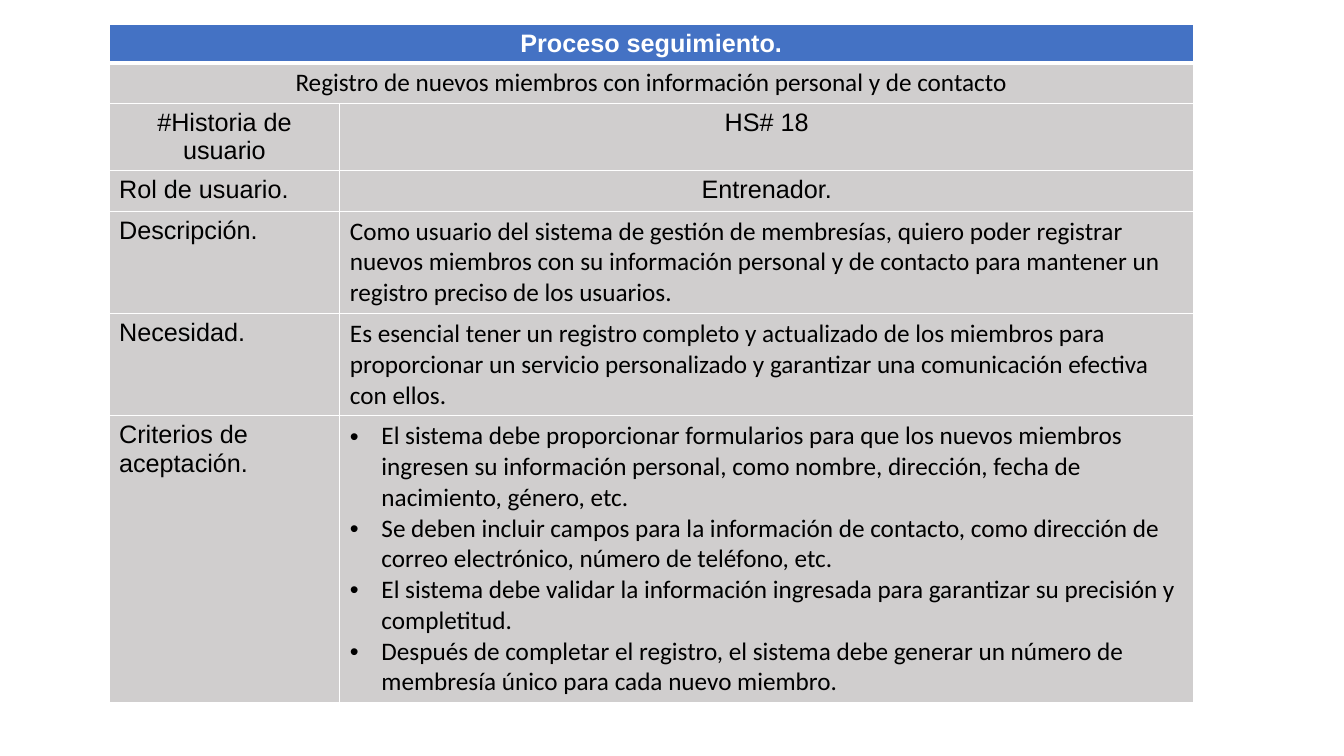
import pptx
import pptx.util
import pptx.dml.color
import pptx.enum.text
import pptx.oxml
import pptx.oxml.ns

Pt = pptx.util.Pt
RGB = pptx.dml.color.RGBColor
ALIGN = pptx.enum.text.PP_ALIGN
WHITE = RGB(0xFF, 0xFF, 0xFF)
BLACK = RGB(0, 0, 0)
BLUE = RGB(0x44, 0x72, 0xC4)
GRAY = RGB(0xD0, 0xCE, 0xCE)
NS = pptx.oxml.ns.nsdecls("a")


def write(cell, *lines, font="Arial", color=BLACK, bold=False,
          align=ALIGN.LEFT, bullet=False):
    frame = cell.text_frame
    for i, line in enumerate(lines):
        para = frame.add_paragraph() if i else frame.paragraphs[0]
        para.alignment = align
        if bullet:
            props = para._p.get_or_add_pPr()
            props.set("marL", str(Pt(22.5)))
            props.set("indent", str(-Pt(22.5)))
            for tag in ('buClr {}><a:srgbClr val="000000"/></a:buClr>',
                        'buFont {} typeface="Arial"/>',
                        'buChar {} char="•"/>'):
                props.append(pptx.oxml.parse_xml("<a:" + tag.format(NS)))
        run = para.add_run()
        run.text = line
        run.font.name = font
        run.font.size = Pt(18)
        run.font.bold = bold
        run.font.color.rgb = color


def border(cell, **sides):
    """Draw white cell borders; each side (L, R, T, B) gives its width in points."""
    props = cell._tc.get_or_add_tcPr()
    for i, (side, width) in enumerate(sides.items()):
        props.insert(i, pptx.oxml.parse_xml(
            f'<a:ln{side} {NS} w="{Pt(width)}"><a:solidFill>'
            f'<a:srgbClr val="{WHITE}"/></a:solidFill></a:ln{side}>'))


deck = pptx.Presentation()
deck.slide_width = Pt(960)
deck.slide_height = Pt(540)
slide = deck.slides.add_slide(deck.slide_layouts[6])

table = slide.shapes.add_table(7, 2, Pt(77.9), Pt(17.5), Pt(774.7), Pt(199)).table
table.horz_banding = False
for col, width in zip(table.columns, (164.9, 609.8)):
    col.width = Pt(width)
for i, row in enumerate(table.rows):
    row.height = Pt(29.2 if i else 23)
    for cell in row.cells:
        cell.fill.solid()
        cell.fill.fore_color.rgb = GRAY if i else BLUE
        border(cell, L=1, R=1, T=3 if i == 1 else 1, B=1 if i else 3)

for i in range(2):
    table.cell(i, 0).merge(table.cell(i, 1))
write(table.cell(0, 0), "Proceso seguimiento.", color=WHITE, bold=True,
      align=ALIGN.CENTER)
write(table.cell(1, 0),
      "Registro de nuevos miembros con información personal y de contacto",
      font="Calibri", align=ALIGN.CENTER)

write(table.cell(2, 0), "#Historia de usuario", align=ALIGN.CENTER)
labels = ("Rol de usuario.", "Descripción.", "Necesidad.",
          "Criterios de aceptación.")
for i, label in enumerate(labels, 3):
    write(table.cell(i, 0), label)

for i, value in enumerate(("HS# 18", "Entrenador."), 2):
    write(table.cell(i, 1), value, align=ALIGN.CENTER)
details = (
    "Como usuario del sistema de gestión de membresías, quiero poder registrar "
    "nuevos miembros con su información personal y de contacto para mantener un "
    "registro preciso de los usuarios.",
    "Es esencial tener un registro completo y actualizado de los miembros para "
    "proporcionar un servicio personalizado y garantizar una comunicación "
    "efectiva con ellos.",
)
for i, detail in enumerate(details, 4):
    write(table.cell(i, 1), detail, font="Calibri")
write(table.cell(6, 1),
      "El sistema debe proporcionar formularios para que los nuevos miembros "
      "ingresen su información personal, como nombre, dirección, fecha de "
      "nacimiento, género, etc.",
      "Se deben incluir campos para la información de contacto, como dirección "
      "de correo electrónico, número de teléfono, etc.",
      "El sistema debe validar la información ingresada para garantizar su "
      "precisión y completitud.",
      "Después de completar el registro, el sistema debe generar un número de "
      "membresía único para cada nuevo miembro.",
      font="Calibri", bullet=True)

deck.save("out.pptx")
